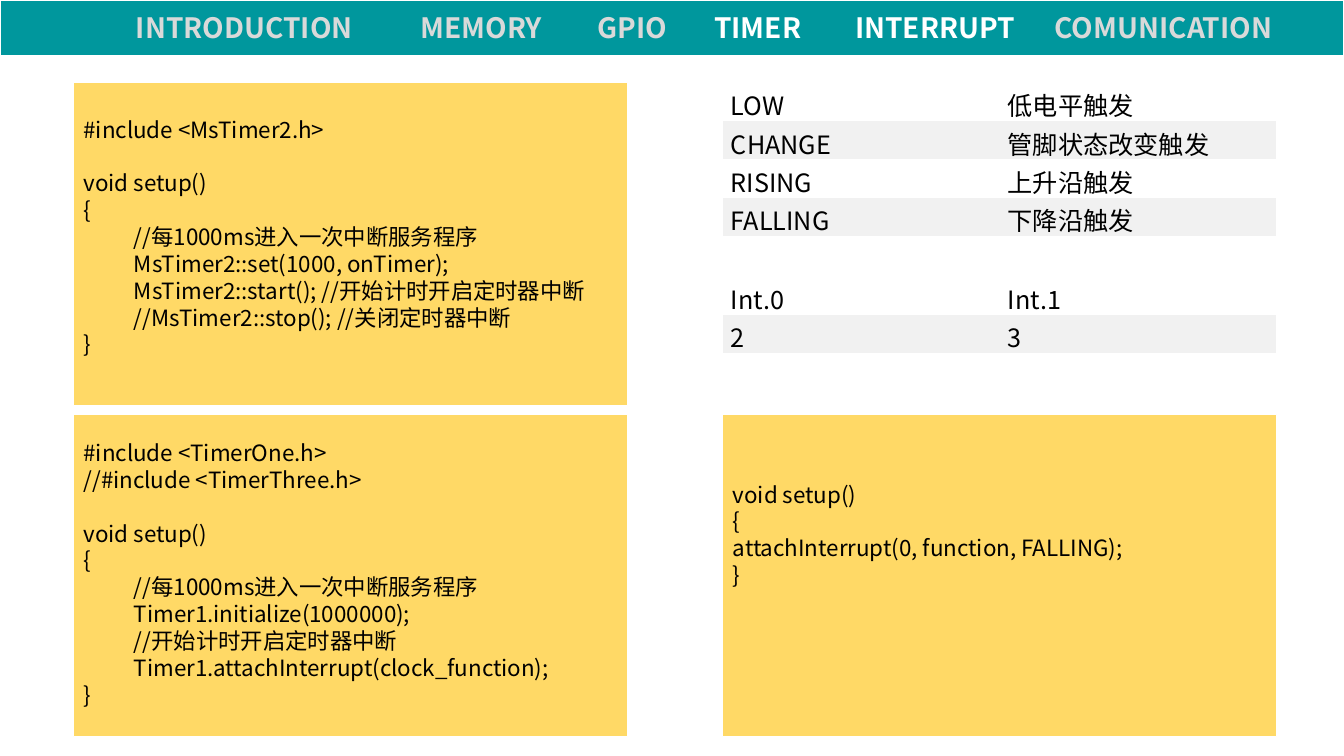
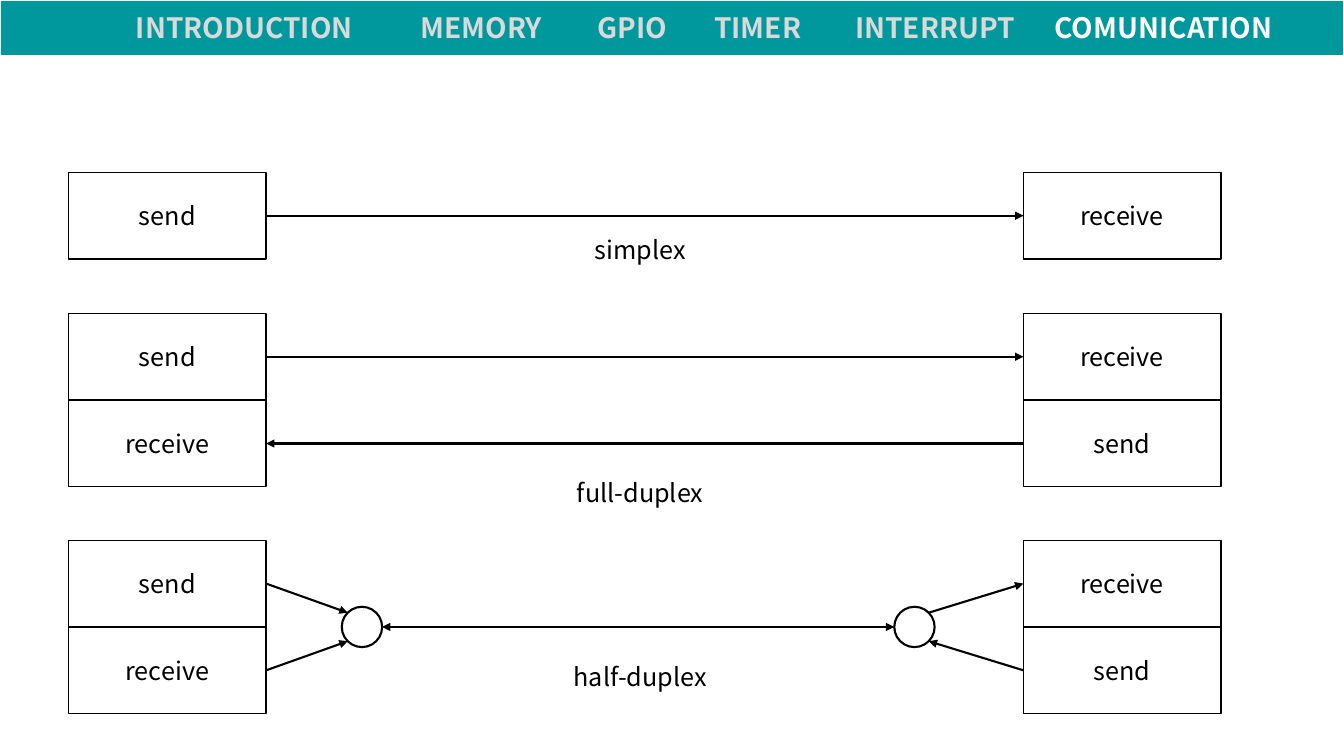
from dataclasses import dataclass
from math import sqrt

from lxml.etree import SubElement
from pptx import Presentation
from pptx.dml.color import RGBColor as Rgb
from pptx.enum.shapes import MSO_CONNECTOR as Connector, MSO_SHAPE as Shape
from pptx.enum.text import MSO_ANCHOR as Anchor, PP_ALIGN as Align
from pptx.oxml.ns import qn
from pptx.util import Inches, Pt


@dataclass(frozen=True)
class Theme:
    font: str = "Noto Sans CJK SC"
    ink: Rgb = Rgb(0, 0, 0)
    paper: Rgb = Rgb(255, 255, 255)
    band: Rgb = Rgb(0x00, 0x97, 0x9D)
    dimmed: Rgb = Rgb(0xD9, 0xD9, 0xD9)
    code_fill: Rgb = Rgb(0xFF, 0xD9, 0x66)
    stripe: Rgb = Rgb(0xF1, 0xF1, 0xF1)
    tab_size: int = 20
    body_size: int = 18
    code_size: int = 16
    code_gap: int = 19


THEME = Theme()
SLIDE_W, SLIDE_H = 13.33, 7.5

# Navigation tabs: name, left, width, alignment
TABS = [
    ("INTRODUCTION", 1.25, 2.54, Align.LEFT),
    ("MEMORY", 3.76, 2.03, Align.CENTER),
    ("GPIO", 5.73, 1.08, Align.CENTER),
    ("TIMER", 6.88, 1.27, Align.CENTER),
    ("INTERRUPT", 8.26, 2.03, Align.CENTER),
    ("COMUNICATION", 10.15, 2.78, Align.CENTER),
]

# Code: a tab indents a line, an empty line becomes space before the next
MSTIMER_CODE = """#include <MsTimer2.h>

void setup()
{
\t//每1000ms进入一次中断服务程序
\tMsTimer2::set(1000, onTimer);
\tMsTimer2::start(); //开始计时开启定时器中断
\t//MsTimer2::stop(); //关闭定时器中断
}"""

TIMERONE_CODE = """#include <TimerOne.h>
//#include <TimerThree.h>

void setup()
{
\t//每1000ms进入一次中断服务程序
\tTimer1.initialize(1000000);
\t//开始计时开启定时器中断
\tTimer1.attachInterrupt(clock_function);
}"""

INTERRUPT_CODE = """void setup()
{
attachInterrupt(0, function, FALLING);
}"""

TRIGGER_MODES = [
    ("LOW", "低电平触发"),
    ("CHANGE", "管脚状态改变触发"),
    ("RISING", "上升沿触发"),
    ("FALLING", "下降沿触发"),
]
INTERRUPT_PINS = [("Int.0", "Int.1"), ("2", "3")]


def write_text(frame, text, size=THEME.body_size, color=THEME.ink, bold=False,
               align=Align.LEFT, anchor=Anchor.TOP):
    frame.word_wrap = True
    frame.vertical_anchor = anchor
    paragraph, gap = frame.paragraphs[0], False
    started = False
    for line in text.split("\n"):
        if not line:
            gap = True
            continue
        if started:
            paragraph = frame.add_paragraph()
        started = True
        paragraph.alignment = align
        if gap:
            paragraph.space_before = Pt(THEME.code_gap)
            gap = False
        if line.startswith("\t"):
            paragraph.level = 1
            indent = paragraph._p.get_or_add_pPr()
            indent.set("marL", str(Inches(0.5)))
            indent.set("indent", "0")
        run = paragraph.add_run()
        run.text = line.strip("\t")
        run.font.size, run.font.bold = Pt(size), bold
        run.font.color.rgb = color
        run.font.name = THEME.font
        SubElement(run.font._element, qn("a:ea"), typeface=THEME.font)


def add_label(shapes, text, left, top, width, height, **style):
    label = shapes.add_textbox(Inches(left), Inches(top), Inches(width), Inches(height))
    write_text(label.text_frame, text, **style)


def add_outline(shapes, kind, left, top, width, height, fill=THEME.paper,
                line=THEME.ink, weight=1.0):
    outline = shapes.add_shape(kind, Inches(left), Inches(top), Inches(width), Inches(height))
    outline.shadow.inherit = False
    outline.fill.solid()
    outline.fill.fore_color.rgb = fill
    outline.line.color.rgb = line
    outline.line.width = Pt(weight)
    return outline


def add_arrow(shapes, start, end, both_ways=False):
    """Each end is an (x, y) point or a (box, side) pair."""
    start_box, end_box = (hasattr(tip[0], "shape_id") for tip in (start, end))
    x1, y1 = (0, 0) if start_box else map(Inches, start)
    x2, y2 = (0, 0) if end_box else map(Inches, end)
    arrow = shapes.add_connector(Connector.STRAIGHT, x1, y1, x2, y2)
    if start_box:
        arrow.begin_connect(*start)
    if end_box:
        arrow.end_connect(*end)
    arrow.line.color.rgb = THEME.ink
    arrow.line.width = Pt(1.5)
    stroke = arrow.line._get_or_add_ln()
    if both_ways:
        SubElement(stroke, qn("a:headEnd"), type="triangle")
    SubElement(stroke, qn("a:tailEnd"), type="triangle")
    SubElement(arrow._element.spPr, qn("a:effectLst"))


def add_navigation(slide, active):
    shapes = slide.shapes.add_group_shape().shapes
    add_outline(shapes, Shape.RECTANGLE, 0, 0, SLIDE_W, 0.55,
                fill=THEME.band, line=THEME.paper)
    for name, left, width, align in TABS:
        add_label(shapes, name, left, 0.06, width, 0.44, size=THEME.tab_size, bold=True,
                  color=THEME.paper if name in active else THEME.dimmed, align=align)


def add_code_block(slide, code, left, top, width, height, text_drop, text_height):
    add_outline(slide.shapes, Shape.RECTANGLE, left, top, width, height,
                fill=THEME.code_fill, line=THEME.paper, weight=0.75)
    add_label(slide.shapes, code, left, top + text_drop, width, text_height,
              size=THEME.code_size)


def add_striped_table(slide, rows, left, top, width, row_height=0.38):
    table = slide.shapes.add_table(
        len(rows), len(rows[0]), Inches(left), Inches(top),
        Inches(width), Inches(row_height * len(rows))).table
    table.first_row = table.horz_banding = False
    for r, row in enumerate(rows):
        for c, text in enumerate(row):
            cell = table.cell(r, c)
            cell.margin_left = cell.margin_right = Inches(0.08)
            cell.margin_top = cell.margin_bottom = Inches(0.04)
            cell.vertical_anchor = Anchor.MIDDLE
            write_text(cell.text_frame, text, anchor=None)
            # No borders; these come before the fill
            for side in ("lnL", "lnR", "lnT", "lnB"):
                border = SubElement(cell._tc.get_or_add_tcPr(), qn("a:" + side), w="0")
                SubElement(border, qn("a:noFill"))
            cell.fill.solid()
            cell.fill.fore_color.rgb = THEME.stripe if r % 2 else THEME.paper


def add_stations(slide, roles, left, right, top, width, height):
    """Stack facing boxes; the right one has the opposite role."""
    opposite = {"send": "receive", "receive": "send"}
    pairs = []
    for i, role in enumerate(roles):
        pair = []
        for x, text in ((left, role), (right, opposite[role])):
            box = add_outline(slide.shapes, Shape.RECTANGLE, x, top + i * height,
                              width, height)
            write_text(box.text_frame, text, align=Align.CENTER, anchor=Anchor.MIDDLE)
            pair.append(box)
        pairs.append(pair)
    return pairs


def add_direct_links(slide, pairs, roles):
    for (near, far), role in zip(pairs, roles):
        ends = [(near, 3), (far, 1)]
        add_arrow(slide.shapes, *(ends if role == "send" else reversed(ends)))


def add_shared_link(slide, pairs, left_node, right_node, middle, size):
    radius = size / 2
    diagonal = radius / sqrt(2)
    for x in (left_node, right_node):
        add_outline(slide.shapes, Shape.OVAL, x, middle - radius, size, size, weight=1.5)
    add_arrow(slide.shapes, (left_node + size, middle), (right_node, middle), both_ways=True)
    left_x = left_node + radius - diagonal
    right_x = right_node + radius + diagonal
    upper, lower = middle - diagonal, middle + diagonal
    (left_send, right_receive), (left_receive, right_send) = pairs
    add_arrow(slide.shapes, (left_send, 3), (left_x, upper))
    add_arrow(slide.shapes, (left_receive, 3), (left_x, lower))
    add_arrow(slide.shapes, (right_send, 1), (right_x, lower))
    add_arrow(slide.shapes, (right_x, upper), (right_receive, 1))


def build_interrupt_slide(slide):
    left, right, width = 0.73, 7.17, 5.49
    upper, lower, height = 0.82, 4.11, 3.2
    # Code
    add_code_block(slide, MSTIMER_CODE, left, upper, width, height, 0.28, 2.52)
    add_code_block(slide, TIMERONE_CODE, left, lower, width, height, 0.2, 2.79)
    add_code_block(slide, INTERRUPT_CODE, right, lower, width, height, 0.61, 1.18)
    # Tables
    add_striped_table(slide, TRIGGER_MODES, right, upper, width)
    add_striped_table(slide, INTERRUPT_PINS, right, 2.74, width)
    add_navigation(slide, {"TIMER", "INTERRUPT"})


def build_communication_slide(slide):
    box_height = 0.86
    # Mode, roles on the left, top of boxes, top of caption
    modes = [
        ("simplex", ["send"], 1.71, 2.28),
        ("full-duplex", ["send", "receive"], 3.11, 4.69),
        ("half-duplex", ["send", "receive"], 5.36, 6.51),
    ]
    for mode, roles, top, caption_top in modes:
        pairs = add_stations(slide, roles, 0.68, 10.15, top, 1.96, box_height)
        if mode == "half-duplex":
            add_shared_link(slide, pairs, 3.39, 8.87, top + box_height, 0.4)
        else:
            add_direct_links(slide, pairs, roles)
        add_label(slide.shapes, mode, 5.21, caption_top, 2.28, 0.4, align=Align.CENTER)
    add_navigation(slide, {"COMUNICATION"})


def main():
    deck = Presentation()
    deck.slide_width, deck.slide_height = Inches(SLIDE_W), Inches(SLIDE_H)
    blank = deck.slide_layouts[6]
    for build in (build_interrupt_slide, build_communication_slide):
        build(deck.slides.add_slide(blank))
    deck.save("out.pptx")


if __name__ == "__main__":
    main()
